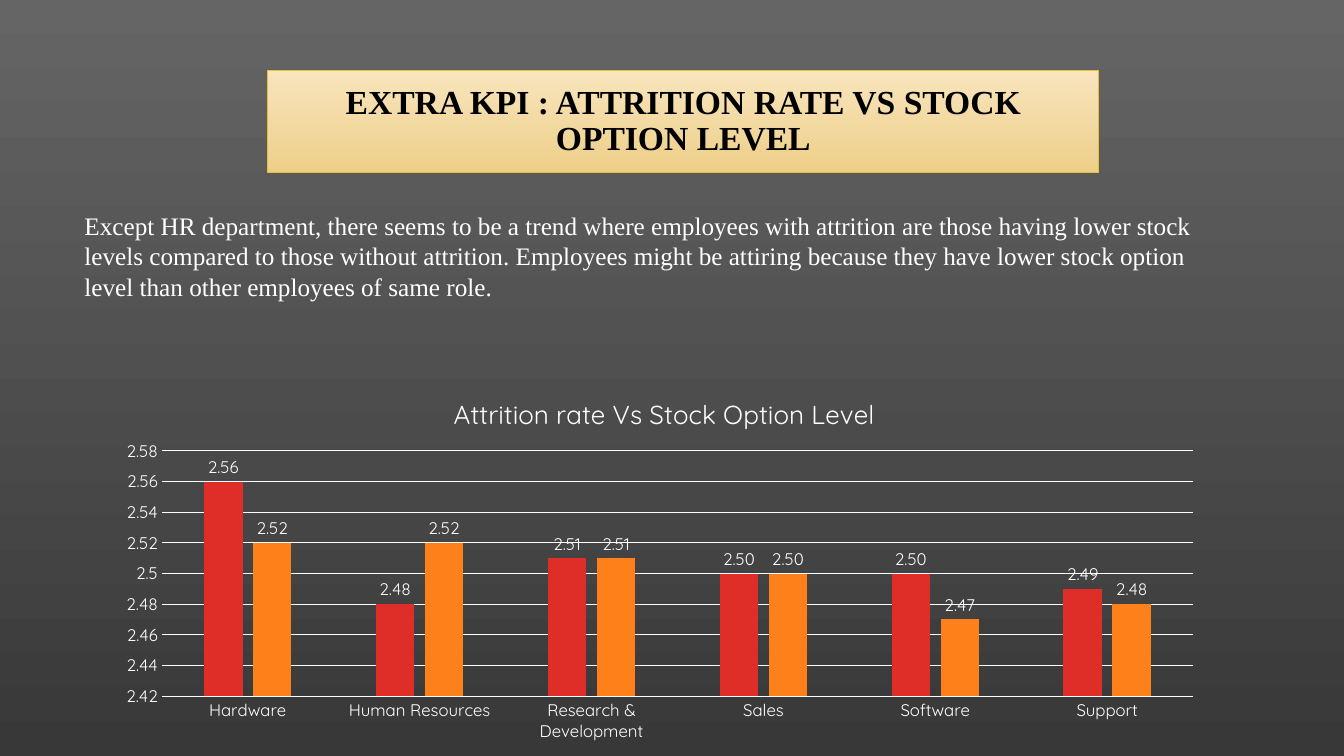
from lxml.etree import SubElement
from pptx import Presentation
from pptx.chart.data import CategoryChartData
from pptx.dml.color import RGBColor
from pptx.enum.chart import XL_CHART_TYPE, XL_LABEL_POSITION, XL_LEGEND_POSITION, XL_TICK_MARK
from pptx.enum.text import MSO_ANCHOR, MSO_AUTO_SIZE, PP_ALIGN
from pptx.oxml import parse_xml
from pptx.oxml.ns import nsdecls, qn
from pptx.util import Cm, Pt

COLORS = {
    "background_top": "656565",
    "background_bottom": "383838",
    "banner_top": "F8E5BD",
    "banner_bottom": "EECF89",
    "banner_line": "E9BF35",
    "title": "000000",
    "text": "FFFFFF",
    "no_attrition": "DF2E28",
    "yes_attrition": "FE801A",
}
TEXT_FONT = "Times New Roman"
CHART_FONT = "Quicksand"
DEPARTMENTS = ["Hardware", "Human Resources", "Research & Development",
               "Sales", "Software", "Support"]
SERIES = [
    ("No Attrition", [2.56, 2.48, 2.51, 2.50, 2.50, 2.49], "no_attrition"),
    ("Yes Attrition", [2.52, 2.52, 2.51, 2.50, 2.47, 2.48], "yes_attrition"),
]
COMMENTARY = (
    "Except HR department, there seems to be a trend where employees with "
    "attrition are those having lower stock levels compared to those without "
    "attrition. Employees might be attiring because they have lower stock "
    "option level than other employees of same role."
)


def color(name):
    return RGBColor.from_string(COLORS[name])


def style_font(font, name, size, color_name="text", bold=False):
    font.name = name
    font.size = Pt(size)
    font.bold = bold
    font.color.rgb = color(color_name)


def fill_downward(fill, top, bottom):
    fill.gradient()
    fill.gradient_angle = 270
    for stop, name in zip(fill.gradient_stops, (top, bottom)):
        stop.color.rgb = color(name)


def white_line(line):
    line.color.rgb = color("text")
    line.width = Pt(0.75)


def set_layout(parent, position, settings):
    for existing in parent.findall(qn("c:layout")):
        parent.remove(existing)
    layout = parse_xml(f"<c:layout {nsdecls('c')}><c:manualLayout/></c:layout>")
    for tag, value in settings.items():
        SubElement(layout[0], qn(f"c:{tag}")).set("val", str(value))
    parent.insert(position, layout)


def add_title(slide, left, top, width, height):
    title = slide.shapes.title
    title.left, title.top, title.width, title.height = left, top, width, height
    fill_downward(title.fill, "banner_top", "banner_bottom")
    title.line.color.rgb = color("banner_line")
    title.line.width = Pt(0.75)
    frame = title.text_frame
    frame.text = "EXTRA KPI : ATTRITION RATE VS STOCK OPTION LEVEL"
    frame.auto_size = MSO_AUTO_SIZE.NONE
    frame.vertical_anchor = MSO_ANCHOR.MIDDLE
    paragraph = frame.paragraphs[0]
    paragraph.alignment = PP_ALIGN.CENTER
    paragraph.line_spacing = 0.9
    style_font(paragraph.font, TEXT_FONT, 24, "title", True)


def add_commentary(slide, left, top, width, height):
    frame = slide.shapes.add_textbox(left, top, width, height).text_frame
    frame.word_wrap = True
    frame.auto_size = MSO_AUTO_SIZE.SHAPE_TO_FIT_TEXT
    frame.text = COMMENTARY
    style_font(frame.paragraphs[0].font, TEXT_FONT, 18)


def format_axes(chart):
    for axis in (chart.category_axis, chart.value_axis):
        axis.major_tick_mark = axis.minor_tick_mark = XL_TICK_MARK.NONE
        style_font(axis.tick_labels.font, CHART_FONT, 12)
    white_line(chart.category_axis.format.line)
    value_axis = chart.value_axis
    value_axis.minimum_scale = 2.42
    value_axis.maximum_scale = 2.58
    value_axis.major_unit = 0.02
    value_axis.format.line.fill.background()
    white_line(value_axis.major_gridlines.format.line)
    value_axis.tick_labels.number_format = "General"
    value_axis.tick_labels.number_format_is_linked = False


def format_series(plot):
    plot.gap_width = 219
    plot.overlap = -27
    plot.vary_by_categories = False
    for series, (_, _, color_name) in zip(plot.series, SERIES):
        series.format.fill.solid()
        series.format.fill.fore_color.rgb = color(color_name)
        labels = series.data_labels
        labels.show_value = True
        labels.position = XL_LABEL_POSITION.OUTSIDE_END
        labels.number_format = "#,##0.00"
        labels.number_format_is_linked = False
        style_font(labels.font, CHART_FONT, 12)


def add_attrition_chart(slide, left, top, width, height):
    data = CategoryChartData()
    data.categories = DEPARTMENTS
    for name, values, _ in SERIES:
        data.add_series(name, values)
    chart = slide.shapes.add_chart(
        XL_CHART_TYPE.COLUMN_CLUSTERED, left, top, width, height, data).chart
    style_font(chart.font, CHART_FONT, 10)
    chart.has_title = True
    title_frame = chart.chart_title.text_frame
    title_frame.text = "Attrition rate Vs Stock Option Level"
    style_font(title_frame.paragraphs[0].font, CHART_FONT, 18.6)
    chart.has_legend = True
    chart.legend.position = XL_LEGEND_POSITION.BOTTOM
    chart.legend.include_in_layout = False
    style_font(chart.legend.font, CHART_FONT, 12)
    format_axes(chart)
    format_series(chart.plots[0])
    set_layout(chart.element.find(".//" + qn("c:title")), 1,
               {"xMode": "edge", "yMode": "edge", "x": 0.31, "y": 0.05})
    set_layout(chart.element.find(".//" + qn("c:plotArea")), 0,
               {"layoutTarget": "inner", "xMode": "edge", "yMode": "edge",
                "x": 0.052, "y": 0.195, "w": 0.927, "h": 0.589})


def build_stock_option_slide(presentation):
    slide = presentation.slides.add_slide(presentation.slide_layouts[5])
    fill_downward(slide.background.fill, "background_top", "background_bottom")
    add_title(slide, Cm(6.75), Cm(1.78), Cm(20.94), Cm(2.56))
    add_attrition_chart(slide, Cm(2.62), Cm(9.32), Cm(28.04), Cm(10.49))
    add_commentary(slide, Cm(1.88), Cm(5.18), Cm(28.42), Cm(2.56))


def main():
    presentation = Presentation()
    presentation.slide_width = Cm(33.87)
    presentation.slide_height = Cm(19.05)
    build_stock_option_slide(presentation)
    presentation.save("out.pptx")


if __name__ == "__main__":
    main()
